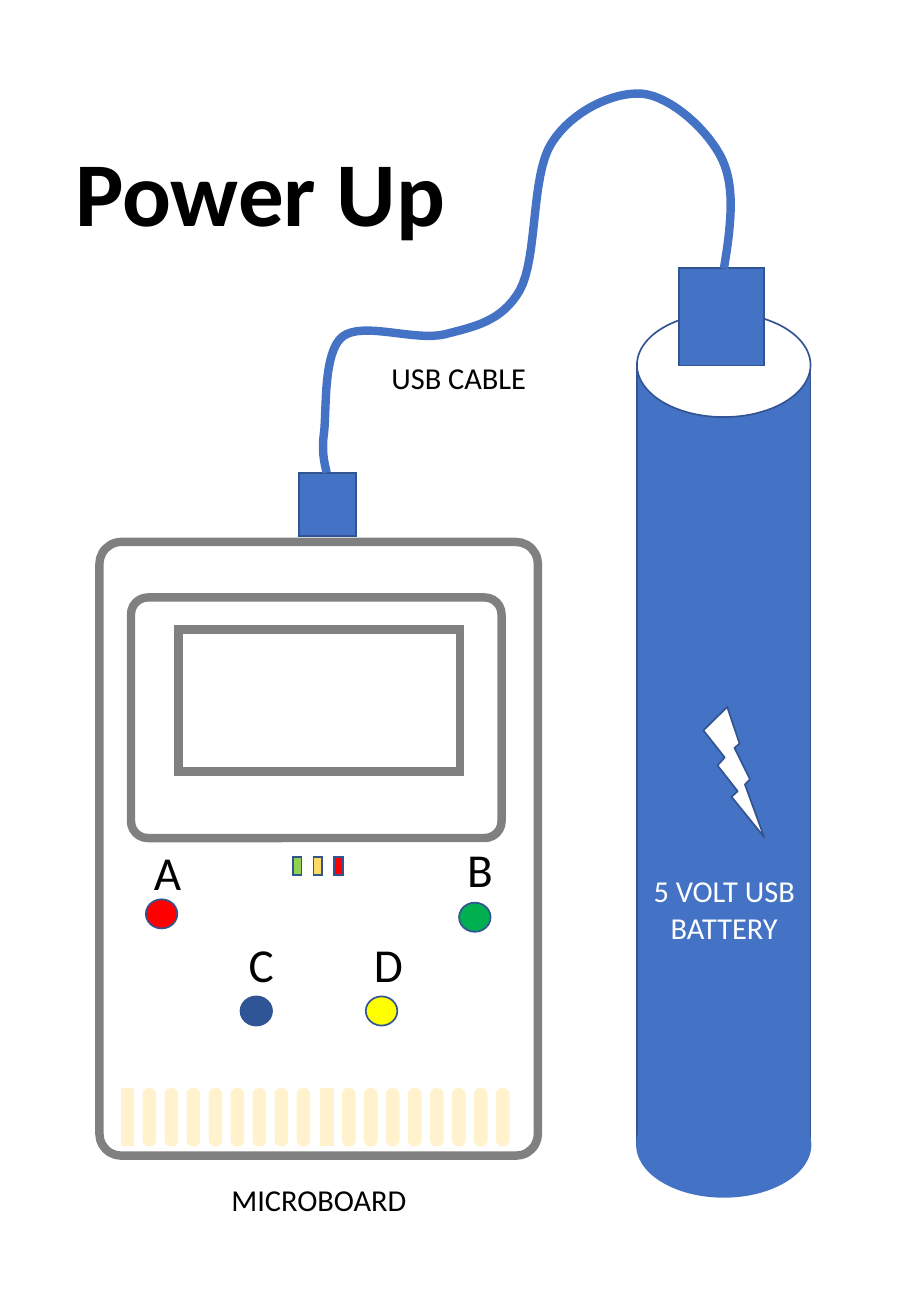
"""Builds a poster of a small computer board powered by a USB battery."""
from lxml.etree import SubElement
from pptx import Presentation
from pptx.dml.color import RGBColor
from pptx.enum.shapes import MSO_SHAPE as Kind
from pptx.enum.text import MSO_ANCHOR as Anchor, MSO_AUTO_SIZE as Fit, PP_ALIGN as Align
from pptx.oxml.ns import qn
from pptx.util import Cm, Pt

BLUE = RGBColor(0x44, 0x72, 0xC4)
OUTLINE = RGBColor(0x32, 0x54, 0x91)
NAVY = RGBColor(0x2F, 0x55, 0x97)
WHITE = RGBColor(0xFF, 0xFF, 0xFF)
BLACK = RGBColor(0x00, 0x00, 0x00)
GRAY = RGBColor(0x80, 0x80, 0x80)
RED = RGBColor(0xFF, 0x00, 0x00)
YELLOW = RGBColor(0xFF, 0xFF, 0x00)
GREEN = RGBColor(0x00, 0xB0, 0x50)
LIME = RGBColor(0x92, 0xD0, 0x50)
AMBER = RGBColor(0xFF, 0xD9, 0x66)
CREAM = RGBColor(0xFF, 0xF2, 0xCC)
FONT = "Calibri"

TITLE = ["Power Up"], (1.32, 1.47, 16.43, 5.31)
CAPTIONS = [
    (["MICROBOARD"], (4.17, 24.56, 5.0, 1.02), BLACK),
    (["5 VOLT USB", "BATTERY"], (13.39, 18.11, 3.51, 1.8), WHITE),
    (["USB CABLE"], (7.92, 7.39, 3.35, 1.02), BLACK),
]
BATTERY = [
    (Kind.RECTANGLE, (13.32, 7.65, 3.63, 16.31), BLUE, OUTLINE),
    (Kind.OVAL, (13.32, 6.54, 3.63, 2.18), WHITE, OUTLINE),
    (Kind.OVAL, (13.32, 22.84, 3.63, 2.18), BLUE, BLUE),
    (Kind.LIGHTNING_BOLT, (14.71, 14.78, 1.27, 2.72), WHITE, OUTLINE),
]
FRAMES = [
    (Kind.ROUNDED_RECTANGLE, (2.08, 11.33, 9.17, 12.83), 0.05),
    (Kind.ROUNDED_RECTANGLE, (2.74, 12.49, 7.75, 5.03), 0.07),
    (Kind.RECTANGLE, (3.73, 13.16, 5.89, 2.97), None),
]
BUTTONS = [
    ("A", 3.05, 18.8, 17.5, RED),
    ("B", 9.6, 18.87, 17.45, GREEN),
    ("C", 5.03, 20.83, 19.43, NAVY),
    ("D", 7.65, 20.83, 19.43, YELLOW),
]
LEDS = [LIME, AMBER, RED]
LED_LEFT, LED_PITCH = 6.13, 0.43
PIN_BANKS, PINS_PER_BANK, PIN_PITCH = [2.54, 6.71], 9, 0.46
PLUGS = [(14.2, 5.61, 1.78, 2.03), (6.25, 9.89, 1.19, 1.32)]
CABLE_START = (15.14, 5.61)
CABLE_CURVES = [
    ((15.27, 4.8), (15.39, 3.96), (15.11, 3.35)),
    ((14.83, 2.74), (14.05, 2.03), (13.44, 1.96)),
    ((12.85, 1.91), (11.96, 2.31), (11.53, 3.0)),
    ((11.1, 3.68), (11.25, 5.38), (10.87, 6.07)),
    ((10.49, 6.73), (9.91, 6.83), (9.3, 6.99)),
    ((8.66, 7.14), (7.59, 6.71), (7.16, 7.04)),
    ((6.76, 7.37), (6.83, 8.53), (6.78, 9.02)),
    ((6.71, 9.5), (6.81, 9.75), (6.83, 9.88)),
]
CURVE_STEPS = 16


def add_part(shapes, kind, box, fill, line, weight=1, corner=None):
    part = shapes.add_shape(kind, *map(Cm, box))
    part.shadow.inherit = False
    if fill is None:
        part.fill.background()
    else:
        part.fill.solid()
        part.fill.fore_color.rgb = fill
    part.line.color.rgb = line
    part.line.width = Pt(weight)
    if corner is not None:
        part.adjustments[0] = corner
    if kind == Kind.RECTANGLE:
        outline = part.element.spPr.find(qn("a:ln"))
        SubElement(outline, qn("a:miter"), lim="800000")


def add_words(shapes, lines, box, size, color, align=Align.LEFT):
    words = shapes.add_textbox(*map(Cm, box))
    frame = words.text_frame
    frame.word_wrap = False
    frame.auto_size = Fit.SHAPE_TO_FIT_TEXT
    for index, line in enumerate(lines):
        paragraph = frame.add_paragraph() if index else frame.paragraphs[0]
        paragraph.alignment = align
        run = paragraph.add_run()
        run.text = line
        run.font.name = FONT
        run.font.size = Pt(size)
        run.font.color.rgb = color
    return frame


def curve_points(start, curves):
    for first, second, end in curves:
        for step in range(1, CURVE_STEPS + 1):
            t = step / CURVE_STEPS
            u = 1 - t
            yield tuple(
                Cm(u**3 * a + 3 * u * u * t * b + 3 * u * t * t * c + t**3 * d)
                for a, b, c, d in zip(start, first, second, end)
            )
        start = end


def add_board(shapes):
    for kind, box, corner in FRAMES:
        add_part(shapes, kind, box, None, GRAY, 5, corner)
    for letter, left, top, letter_top, color in BUTTONS:
        add_part(shapes, Kind.OVAL, (left, top, 0.66, 0.61), color, OUTLINE)
        add_words(shapes, [letter], (left - 0.08, letter_top, 0.86, 1.14), 28, BLACK)
    for index, color in enumerate(LEDS):
        left = LED_LEFT + index * LED_PITCH
        add_part(shapes, Kind.RECTANGLE, (left, 17.91, 0.18, 0.38), color, OUTLINE)
    for bank_left in PIN_BANKS:
        for index in range(PINS_PER_BANK):
            kind, corner = (Kind.ROUNDED_RECTANGLE, 0.47) if index else (Kind.RECTANGLE, None)
            box = (bank_left + index * PIN_PITCH, 22.76, 0.25, 1.19)
            add_part(shapes, kind, box, CREAM, CREAM, corner=corner)


def add_cable(shapes):
    builder = shapes.build_freeform(*map(Cm, CABLE_START))
    builder.add_line_segments(curve_points(CABLE_START, CABLE_CURVES), close=False)
    cable = builder.convert_to_shape()
    cable.shadow.inherit = False
    cable.fill.background()
    cable.line.color.rgb = BLUE
    cable.line.width = Pt(5)


def main():
    deck = Presentation()
    deck.slide_width, deck.slide_height = Cm(19.05), Cm(27.51)
    shapes = deck.slides.add_slide(deck.slide_layouts[6]).shapes

    battery = shapes.add_group_shape().shapes
    for kind, box, fill, line in BATTERY:
        add_part(battery, kind, box, fill, line)

    title = add_words(shapes, *TITLE, 54, BLACK)
    title.auto_size = Fit.NONE
    title.word_wrap = True
    title.vertical_anchor = Anchor.MIDDLE
    title.paragraphs[0].line_spacing = 0.9
    title.paragraphs[0].runs[0].font.bold = True

    add_board(shapes.add_group_shape().shapes)
    for box in PLUGS:
        add_part(shapes, Kind.RECTANGLE, box, BLUE, OUTLINE)
    add_cable(shapes)
    for lines, box, color in CAPTIONS:
        add_words(shapes, lines, box, 18, color, Align.CENTER)
    deck.save("out.pptx")


if __name__ == "__main__":
    main()
